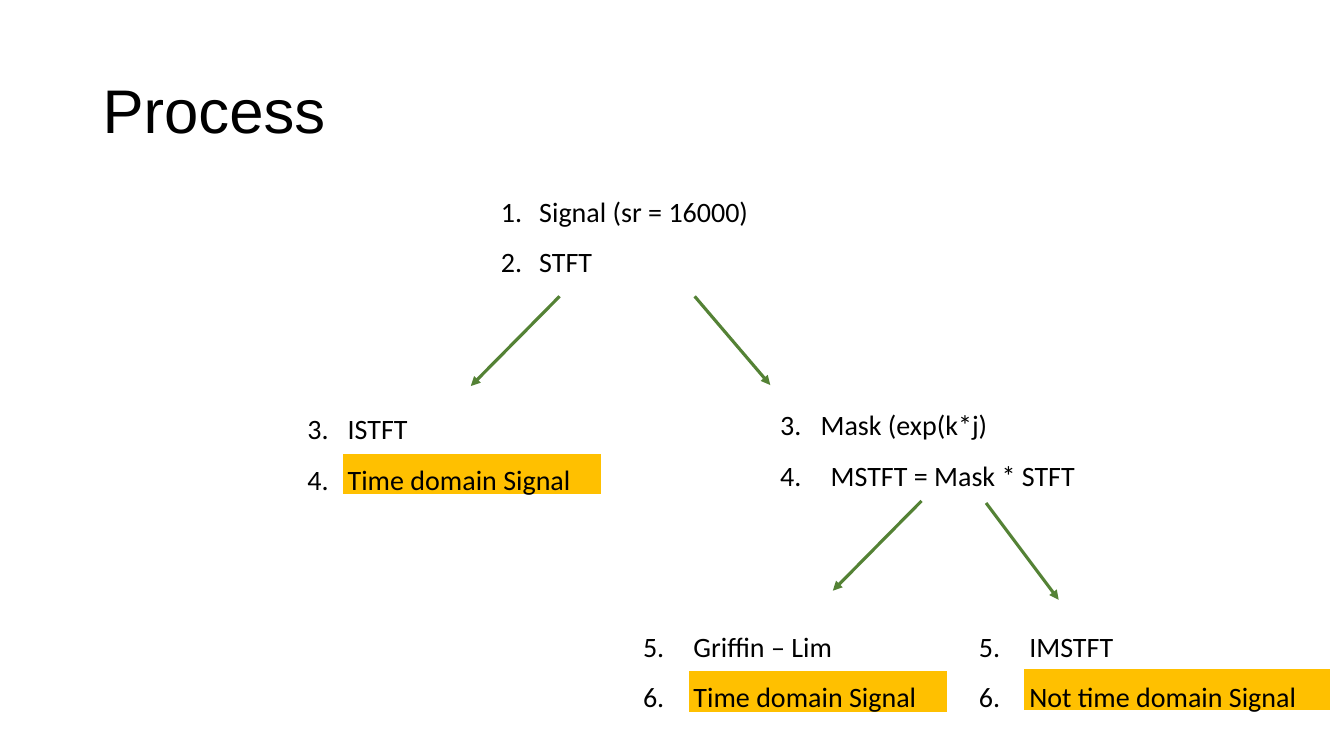
from lxml import etree
from pptx import Presentation
from pptx.dml.color import RGBColor
from pptx.enum import shapes, text
from pptx.oxml import ns
from pptx.util import Inches, Pt

COLORS = {"text": "000000", "highlight": "FFC000", "arrow": "548235"}
SLIDE_W, SLIDE_H = 13.33, 7.5
STEP_W, STEP_H, HIGHLIGHT_H = 3.94, 1.07, 0.4

TITLE = "Process"
STEPS = [
    (2.95, 3.87, 3, [("ISTFT", 0.4), ("Time domain Signal", 0.4)]),
    (4.87, 1.71, 1, [("Signal (sr = 16000)", 0.38), ("STFT", 0.38)]),
    (7.64, 3.83, 3, [("Mask (exp(k*j)", 0.4), ("MSTFT = Mask * STFT", 0.5)]),
    (6.28, 6.03, 5, [("Griffin – Lim", 0.5), ("Time domain Signal", 0.5)]),
    (9.61, 6.03, 5, [("IMSTFT", 0.5), ("Not time domain Signal", 0.5)]),
]
HIGHLIGHTS = [(10.16, 6.64, 3.03), (6.83, 6.66, 2.56), (3.4, 4.5, 2.56)]
ARROWS = [
    ((5.55, 2.94), (4.67, 3.83)),
    ((6.89, 2.94), (7.64, 3.82)),
    ((9.78, 4.99), (10.5, 5.95)),
    ((9.14, 4.97), (8.26, 5.86)),
]


def rgb(name):
    return RGBColor.from_string(COLORS[name])


def add_highlight(s, left, top, width):
    sp = s.shapes.add_shape(
        shapes.MSO_SHAPE.FLOWCHART_PROCESS,
        Inches(left), Inches(top), Inches(width), Inches(HIGHLIGHT_H))
    sp.shadow.inherit = False
    sp.fill.solid()
    sp.fill.fore_color.rgb = rgb("highlight")
    sp.line.fill.background()


def add_text(s, left, top, width, height, lines, font, size, spacing):
    box = s.shapes.add_textbox(
        Inches(left), Inches(top), Inches(width), Inches(height))
    tf = box.text_frame
    tf.word_wrap = True
    tf.text = "\n".join(lines)
    for p in tf.paragraphs:
        p.line_spacing = spacing
        for r in p.runs:
            r.font.name = font
            r.font.size = Pt(size)
            r.font.color.rgb = rgb("text")
    return tf


def number(p, indent, start):
    pPr = p._p.get_or_add_pPr()
    pPr.set("marL", str(Inches(indent)))
    pPr.set("indent", str(-Inches(indent)))
    etree.SubElement(pPr, ns.qn("a:buFont"), typeface="+mj-lt")
    etree.SubElement(pPr, ns.qn("a:buAutoNum"),
                     type="arabicPeriod", startAt=str(start))


def add_steps(s, left, top, start, items):
    width = min(STEP_W, SLIDE_W - left)
    tf = add_text(s, left, top, width, STEP_H,
                  [line for line, _ in items], "Calibri", 20, 1.5)
    for p, (_, indent) in zip(tf.paragraphs, items):
        number(p, indent, start)


def add_arrow(s, begin, end):
    arrow = s.shapes.add_connector(
        shapes.MSO_CONNECTOR.STRAIGHT, *map(Inches, begin + end))
    arrow.line.color.rgb = rgb("arrow")
    arrow.line.width = Pt(2.25)
    etree.SubElement(arrow.line._get_or_add_ln(), ns.qn("a:tailEnd"),
                     type="triangle")
    etree.SubElement(arrow._element.spPr, ns.qn("a:effectLst"))


def main():
    prs = Presentation()
    prs.slide_width, prs.slide_height = Inches(SLIDE_W), Inches(SLIDE_H)
    s = prs.slides.add_slide(prs.slide_layouts[6])
    for highlight in HIGHLIGHTS:
        add_highlight(s, *highlight)
    title = add_text(s, 0.92, 0.4, 11.5, 1.45, [TITLE], "Arial", 44, 0.9)
    title.vertical_anchor = text.MSO_ANCHOR.MIDDLE
    for step in STEPS:
        add_steps(s, *step)
    for begin, end in ARROWS:
        add_arrow(s, begin, end)
    prs.save("out.pptx")


if __name__ == "__main__":
    main()
